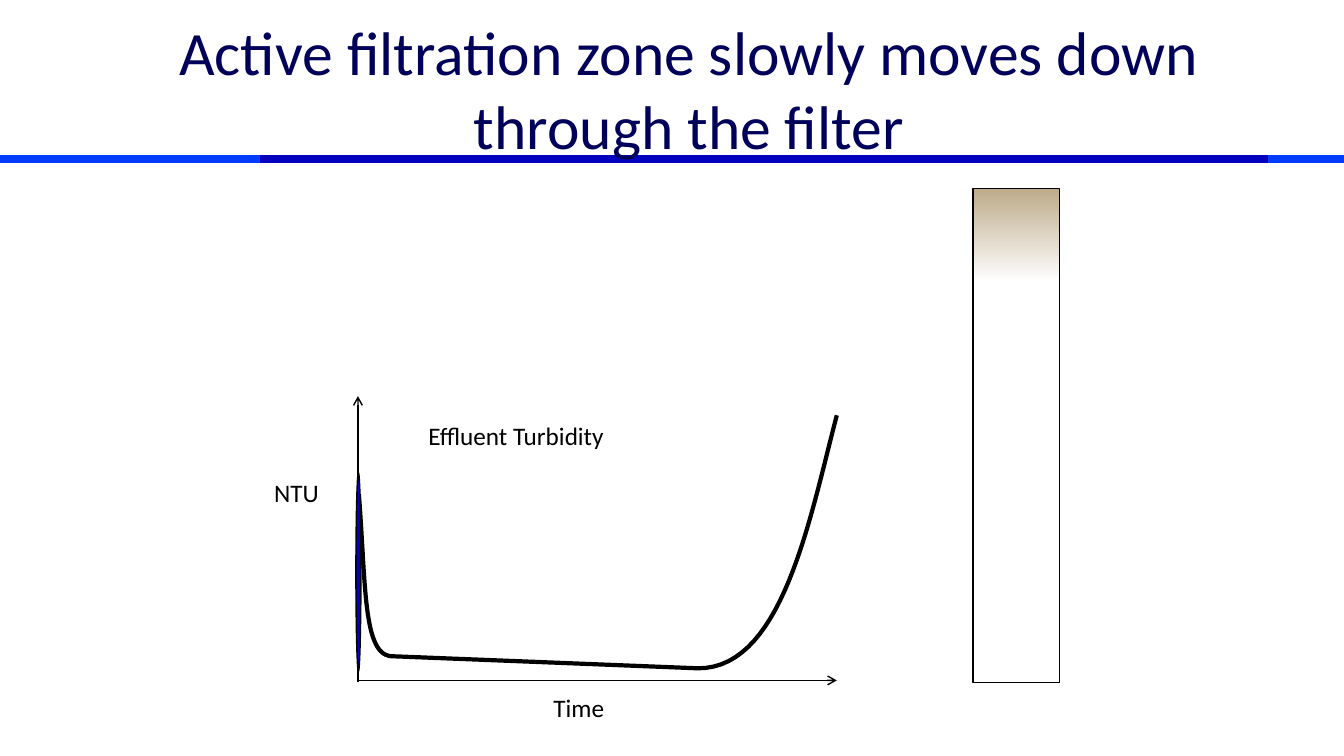
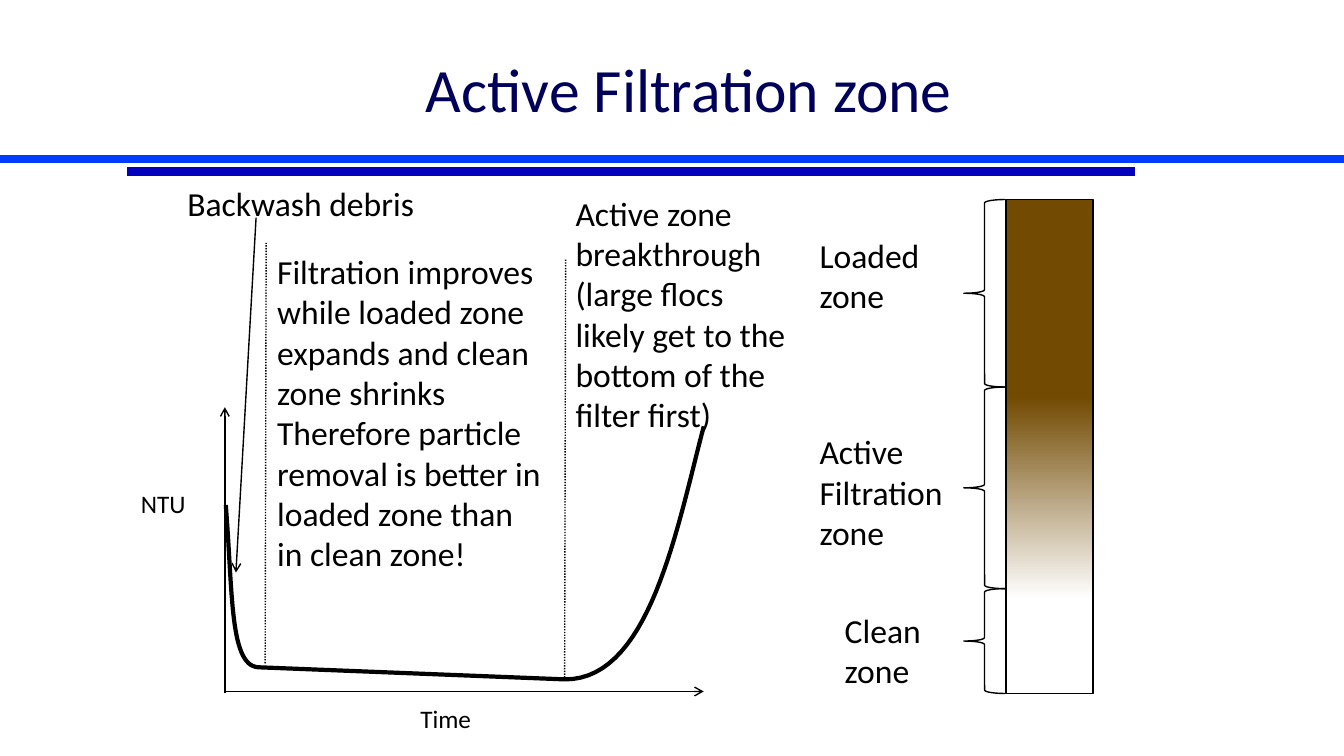
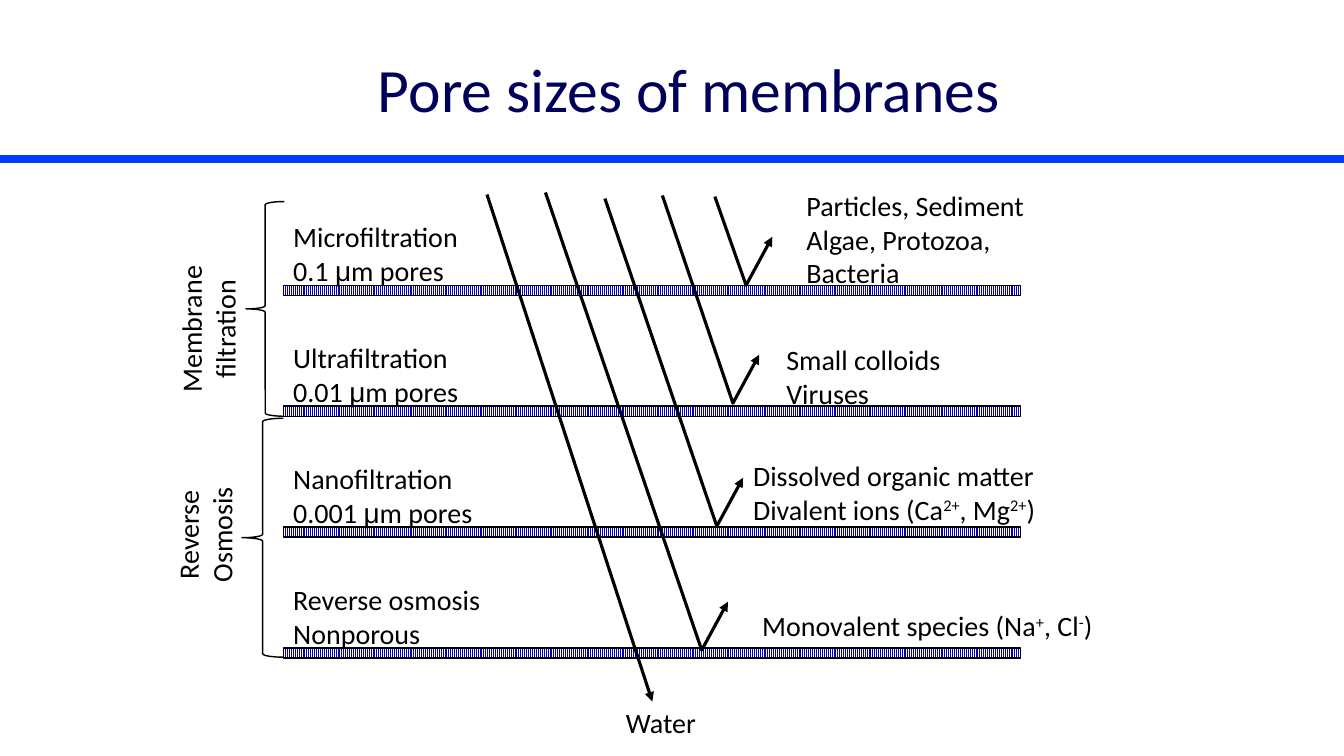
from dataclasses import dataclass
from typing import NamedTuple, Optional

from lxml import etree
from pptx import Presentation
from pptx import util as u
from pptx.dml.color import RGBColor
from pptx.enum import dml, shapes, text
from pptx.oxml import ns

# Grid: the slide is 13.33 columns by 7.5 rows of one-inch cells
CELL = u.Inches(1)
COLUMNS, ROWS = 13.33, 7.5
FONT = "Calibri"
COLORS = {
    "ink": "000000", "paper": "FFFFFF", "title": "00005A",
    "band": "003CFE", "accent": "0300BE", "soil": "724A02", "half_soil": "BDAB89",
}
BAND_ROW, BAND_WEIGHT = 1.58, 6
FILTER_SIZE = (0.86, 4.9)
MEMBRANE_TOP, MEMBRANE_STEP = 2.83, 1.2


class Point(NamedTuple):
    column: float
    row: float

    def moved(self, columns: float, rows: float) -> "Point":
        return Point(self.column + columns, self.row + rows)


class Area(NamedTuple):
    column: float
    row: float
    columns: float
    rows: float


class Span(NamedTuple):
    text: str
    font: Optional[str] = None
    raised: bool = False


@dataclass
class Label:
    area: Area
    paragraphs: list
    size: float = 20
    centred: bool = False
    turn: float = 0


@dataclass
class Membrane:
    name: str
    pores: list
    start: Point      # where the rejected stream enters
    bounce: Point     # where the membrane turns it back


def grid(*cells: float) -> list:
    return [u.Emu(round(cell * CELL)) for cell in cells]


def color(name: str) -> RGBColor:
    return RGBColor.from_string(COLORS[name])


# Lines and shapes
def style_line(line, name: str = "ink", weight: float = 1, head: str = "", dash=None):
    line.color.rgb = color(name)
    line.width = u.Pt(weight)
    if dash is not None:
        line.dash_style = dash
    if head:
        etree.SubElement(line._get_or_add_ln(), ns.qn("a:tailEnd"), type=head)


def add_line(page, start: Point, end: Point, **style):
    line = page.shapes.add_connector(shapes.MSO_CONNECTOR.STRAIGHT, *grid(*start, *end))
    etree.SubElement(line._element.spPr, ns.qn("a:effectLst"))
    style_line(line.line, **style)
    # The effect list has to follow the line properties
    line._element.spPr.append(line._element.spPr.find(ns.qn("a:effectLst")))


def add_figure(page, kind, area: Area, fill: str = "", outlined: bool = True):
    figure = page.shapes.add_shape(kind, *grid(*area))
    figure.shadow.inherit = False
    if fill:
        figure.fill.solid()
        figure.fill.fore_color.rgb = color(fill)
    else:
        figure.fill.background()
    if outlined:
        style_line(figure.line)
    else:
        figure.line.fill.background()
    return figure


def add_fade(page, area: Area, top: str):
    fade = add_figure(page, shapes.MSO_SHAPE.RECTANGLE, area, outlined=False)
    fade.fill.gradient()
    fade.fill.gradient_angle = 270
    for stop, name in zip(fade.fill.gradient_stops, (top, "paper")):
        stop.color.rgb = color(name)


def add_path(page, points: list, weight: float, head: str = ""):
    first, *others = [grid(*point) for point in points]
    builder = page.shapes.build_freeform(*first, scale=1.0)
    builder.add_line_segments(others, close=False)
    outline = builder.convert_to_shape()
    outline.shadow.inherit = False
    outline.fill.background()
    style_line(outline.line, weight=weight, head=head)


def bezier(controls: list, steps: int = 30) -> list:
    curve = []
    for step in range(steps + 1):
        t = step / steps
        shares = ((1 - t) ** 3, 3 * t * (1 - t) ** 2, 3 * t * t * (1 - t), t ** 3)
        curve.append(Point(*(sum(share * value for share, value in zip(shares, axis))
                             for axis in zip(*controls))))
    return curve


# Text
def format_paragraph(para, size: float, name: str = "ink", centred: bool = False):
    para.alignment = text.PP_ALIGN.CENTER if centred else text.PP_ALIGN.LEFT
    para.font.name = FONT
    para.font.size = u.Pt(size)
    para.font.color.rgb = color(name)


def add_label(page, label: Label):
    box = page.shapes.add_textbox(*grid(*label.area))
    box.rotation = label.turn
    frame = box.text_frame
    frame.word_wrap = True
    for index, content in enumerate(label.paragraphs):
        para = frame.add_paragraph() if index else frame.paragraphs[0]
        format_paragraph(para, label.size, centred=label.centred)
        for span in [Span(content)] if isinstance(content, str) else content:
            run = para.add_run()
            run.text = span.text
            if span.font:
                run.font.name = span.font
            if span.raised:
                run.font._element.set("baseline", "30000")


# Shared page frame: band, optional dark accent, title on top
def add_page(deck, title: str, accent: Optional[Point] = None):
    page = deck.slides.add_slide(deck.slide_layouts[5])
    add_line(page, Point(0, BAND_ROW), Point(COLUMNS, BAND_ROW),
             name="band", weight=BAND_WEIGHT)
    if accent:
        add_line(page, accent, accent.moved(10, 0), name="accent", weight=BAND_WEIGHT)
    box = page.shapes.title
    box.left, box.top, box.width, box.height = grid(0.67, 0.25, 12.33, 1.25)
    frame = box.text_frame
    frame.text = title
    frame.word_wrap = True
    frame.auto_size = text.MSO_AUTO_SIZE.NONE
    frame.vertical_anchor = text.MSO_ANCHOR.MIDDLE
    format_paragraph(frame.paragraphs[0], 44, "title", centred=True)
    page.shapes._spTree.append(box._element)
    return page


# Turbidity against time, placed by the foot of its vertical axis
def add_turbidity_plot(page, origin: Point):
    add_line(page, origin, origin.moved(0, -2.84), head="arrow")
    add_line(page, origin.moved(0, -0.02), origin.moved(4.75, -0.02), head="arrow")
    ripening = [(0.01, -1.87), (0.08, -0.97), (0.05, -0.28), (0.33, -0.26)]
    breakthrough = [(3.37, -0.14), (4.21, -0.13), (4.48, -1.62), (4.75, -2.65)]
    curve = bezier(ripening) + bezier(breakthrough)
    add_path(page, [origin.moved(*point) for point in curve], weight=3)
    for name, shift, width in (("NTU", (-0.93, -2.08), 0.93), ("Time", (1.84, 0.05), 1.01)):
        add_label(page, Label(Area(*origin.moved(*shift), width, 0.57), [name], 18))


def build_moving_zone(deck):
    page = add_page(deck, "Active filtration zone slowly moves down through the filter",
                    Point(2.58, BAND_ROW))
    column, row = 9.65, 1.87
    add_fade(page, Area(column, row, FILTER_SIZE[0], 0.93), "half_soil")
    add_figure(page, shapes.MSO_SHAPE.RECTANGLE, Area(column, row, *FILTER_SIZE))
    add_turbidity_plot(page, Point(3.55, 6.77))
    add_figure(page, shapes.MSO_SHAPE.OVAL, Area(3.53, 4.69, 0.05, 1.97), "accent")
    add_label(page, Label(Area(4.15, 4.12, 3.07, 0.57), ["Effluent Turbidity"], 18))


def build_active_zone(deck):
    page = add_page(deck, "Active Filtration zone", Point(1.26, 1.7))
    # Filter column and its three zones
    column, row = 9.98, 1.98
    width = FILTER_SIZE[0]
    add_figure(page, shapes.MSO_SHAPE.RECTANGLE, Area(column, row, width, 2), "soil", False)
    add_fade(page, Area(column, 3.94, width, 2), "soil")
    add_figure(page, shapes.MSO_SHAPE.RECTANGLE, Area(column, row, *FILTER_SIZE))
    for height in (1.86, 2, 1.04):
        add_figure(page, shapes.MSO_SHAPE.LEFT_BRACE, Area(9.56, row, 0.41, height))
        row += height
    # Plot, stage dividers and pointer
    add_turbidity_plot(page, Point(2.23, 6.88))
    dots = dml.MSO_LINE.ROUND_DOT
    add_line(page, Point(5.6, 6.75), Point(5.61, 2.57), dash=dots)
    add_line(page, Point(2.63, 6.58), Point(2.64, 2.41), dash=dots)
    add_line(page, Point(2.54, 2.16), Point(2.34, 5.68), head="arrow")
    notes = [
        (Area(8.03, 2.28, 1.54, 0.91), ["Loaded zone"]),
        (Area(8.03, 4.23, 1.54, 1.31), ["Active Filtration zone"]),
        (Area(8.28, 6, 1.54, 0.91), ["Clean zone"]),
        (Area(1.76, 1.77, 2.85, 0.5), ["Backwash debris"]),
        (Area(2.65, 2.44, 2.85, 3.33),
         ["Filtration improves while loaded zone expands and clean zone shrinks",
          "Therefore particle removal is better in loaded zone than in clean zone!"]),
        (Area(5.61, 1.86, 2.41, 2.52),
         ["Active zone breakthrough",
          "(large flocs likely get to the bottom of the filter first)"]),
    ]
    for area, paragraphs in notes:
        add_label(page, Label(area, paragraphs, 24))


def micron_pores(size: str) -> list:
    return [Span(size + " "), Span("μ", font="Arial"), Span("m pores")]


def build_membranes(deck):
    page = add_page(deck, "Pore sizes of membranes")
    membranes = [
        Membrane("Microfiltration", micron_pores("0.1"), Point(7.09, 1.95), Point(7.4, 2.83)),
        Membrane("Ultrafiltration", micron_pores("0.01"), Point(6.57, 1.94), Point(7.27, 4)),
        Membrane("Nanofiltration", micron_pores("0.001"), Point(6, 1.97), Point(7.11, 5.22)),
        Membrane("Reverse osmosis", [Span("Nonporous")], Point(5.41, 1.91), Point(6.96, 6.45)),
    ]
    # Membranes with the streams they turn back
    for index, membrane in enumerate(membranes):
        row = MEMBRANE_TOP + index * MEMBRANE_STEP
        sheet = add_figure(page, shapes.MSO_SHAPE.RECTANGLE, Area(2.81, row, 7.31, 0.1))
        sheet.fill.patterned()
        sheet.fill.pattern = dml.MSO_PATTERN.NARROW_VERTICAL
        sheet.fill.fore_color.rgb = color("accent")
        sheet.fill.back_color.rgb = color("paper")
        add_label(page, Label(Area(2.81, row - 0.7, 2.17, 0.77),
                              [membrane.name, membrane.pores]))
        add_path(page, [membrane.start, membrane.bounce, membrane.bounce.moved(0.26, -0.48)],
                 weight=2.25, head="triangle")
    add_line(page, Point(4.83, 1.93), Point(6.47, 6.96), weight=2.25, head="triangle")
    # What passes and what is held back
    divalent = [Span("Divalent ions (Ca"), Span("2+", raised=True), Span(", Mg"),
                Span("2+", raised=True), Span(")")]
    monovalent = [Span("Monovalent species (Na"), Span("+", raised=True), Span(", Cl"),
                  Span("-", raised=True), Span(")")]
    labels = [
        Label(Area(6.11, 6.95, 0.93, 0.44), ["Water"]),
        Label(Area(7.46, 5.99, 3.72, 0.44), [monovalent]),
        Label(Area(7.37, 4.5, 3.15, 0.77), ["Dissolved organic matter", divalent]),
        Label(Area(7.7, 3.35, 1.81, 0.77), ["Small colloids", "Viruses"]),
        Label(Area(7.9, 1.82, 2.5, 1.11), ["Particles, Sediment", "Algae, Protozoa, Bacteria"]),
        Label(Area(1.3, 2.88, 1.52, 0.77), ["Membrane filtration"], centred=True, turn=270),
        Label(Area(1.27, 4.92, 1.52, 0.77), ["Reverse Osmosis"], centred=True, turn=270),
    ]
    for label in labels:
        add_label(page, label)
    for area in (Area(2.44, 2, 0.38, 2.13), Area(2.4, 4.15, 0.41, 2.37)):
        add_figure(page, shapes.MSO_SHAPE.LEFT_BRACE, area)


def main():
    deck = Presentation()
    deck.slide_width, deck.slide_height = grid(COLUMNS, ROWS)
    build_moving_zone(deck)
    build_active_zone(deck)
    build_membranes(deck)
    deck.save("out.pptx")


if __name__ == "__main__":
    main()
